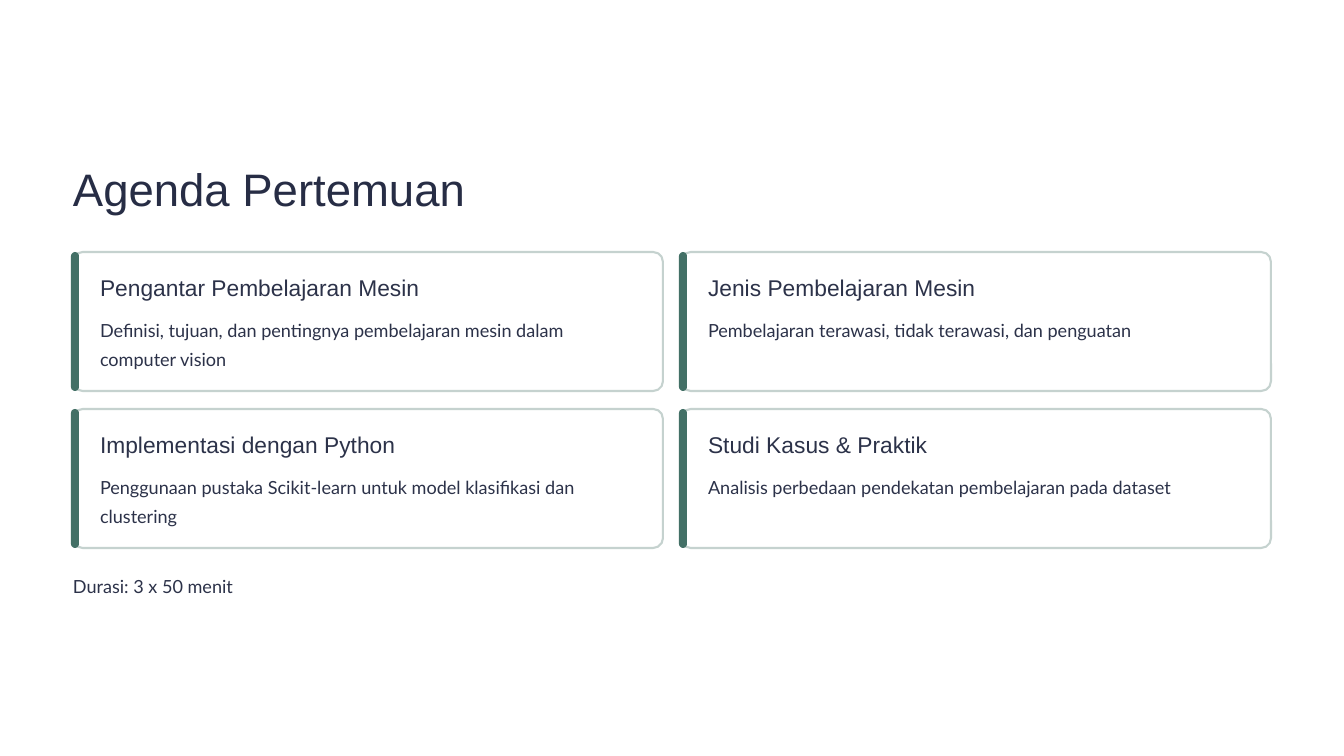
import pptx
import pptx.dml.color
import pptx.enum.shapes
import pptx.util

EMU_PER_PX = 914400 / 84
COLORS = {
    "background": "FFFFFF",
    "title": "272D45",
    "text": "2C3249",
    "border": "C5D2CF",
    "accent": "437066",
}
TOPICS = [
    ("Pengantar Pembelajaran Mesin",
     "Definisi, tujuan, dan pentingnya pembelajaran mesin dalam computer vision"),
    ("Jenis Pembelajaran Mesin",
     "Pembelajaran terawasi, tidak terawasi, dan penguatan"),
    ("Implementasi dengan Python",
     "Penggunaan pustaka Scikit-learn untuk model klasifikasi dan clustering"),
    ("Studi Kasus & Praktik",
     "Analisis perbedaan pendekatan pembelajaran pada dataset"),
]
COLUMNS = 2
LEFT, TOP = 73, 252
CARD_WIDTH, CARD_HEIGHT = 590, 139
COLUMN_STEP, ROW_STEP = 608, 157


def px(length):
    return pptx.util.Emu(round(length * EMU_PER_PX))


def rgb(name):
    return pptx.dml.color.RGBColor.from_string(COLORS[name])


def add_text(slide, text, left, top, width, height, *, size=15.5,
             font="Lato", color="text", leading=25):
    box = slide.shapes.add_textbox(px(left), px(top), px(width), px(height))
    frame = box.text_frame
    frame.margin_left = frame.margin_top = 0
    frame.margin_right = frame.margin_bottom = 0
    frame.word_wrap = True
    paragraph = frame.paragraphs[0]
    paragraph.line_spacing = pptx.util.Pt(leading)
    run = paragraph.add_run()
    run.text = text
    run.font.size = pptx.util.Pt(size)
    run.font.name = font
    run.font.color.rgb = rgb(color)


def add_rounded(slide, left, top, width, height, *, radius, fill, border=None):
    """Add a rounded rectangle; radius is a share of its shorter side."""
    panel = slide.shapes.add_shape(
        pptx.enum.shapes.MSO_SHAPE.ROUNDED_RECTANGLE,
        px(left), px(top), px(width), px(height))
    panel.adjustments[0] = radius
    panel.shadow.inherit = False
    panel.fill.solid()
    panel.fill.fore_color.rgb = rgb(fill)
    if border:
        panel.line.color.rgb = rgb(border)
        panel.line.width = pptx.util.Pt(1.8)
    else:
        panel.line.fill.background()


def add_topic_card(slide, left, top, heading, summary):
    add_rounded(slide, left, top, CARD_WIDTH, CARD_HEIGHT,
                radius=0.07, fill="background", border="border")
    add_rounded(slide, left - 2, top, 8, CARD_HEIGHT, radius=0.5, fill="accent")
    add_text(slide, heading, left + 27, top + 21, 543, 29,
             size=19.5, font="Arial", leading=24)
    add_text(slide, summary, left + 27, top + 60, 543, 58)


def main():
    deck = pptx.Presentation()
    deck.slide_width, deck.slide_height = px(1344), px(756)
    slide = deck.slides.add_slide(deck.slide_layouts[6])
    slide.background.fill.solid()
    slide.background.fill.fore_color.rgb = rgb("background")

    add_text(slide, "Agenda Pertemuan", LEFT, 159, 456, 57,
             size=39, font="Arial", color="title", leading=48.5)
    for index, (heading, summary) in enumerate(TOPICS):
        row, column = divmod(index, COLUMNS)
        add_topic_card(slide, LEFT + column * COLUMN_STEP, TOP + row * ROW_STEP,
                       heading, summary)
    add_text(slide, "Durasi: 3 x 50 menit", LEFT, 568, 1198, 29)

    deck.save("out.pptx")


if __name__ == "__main__":
    main()
